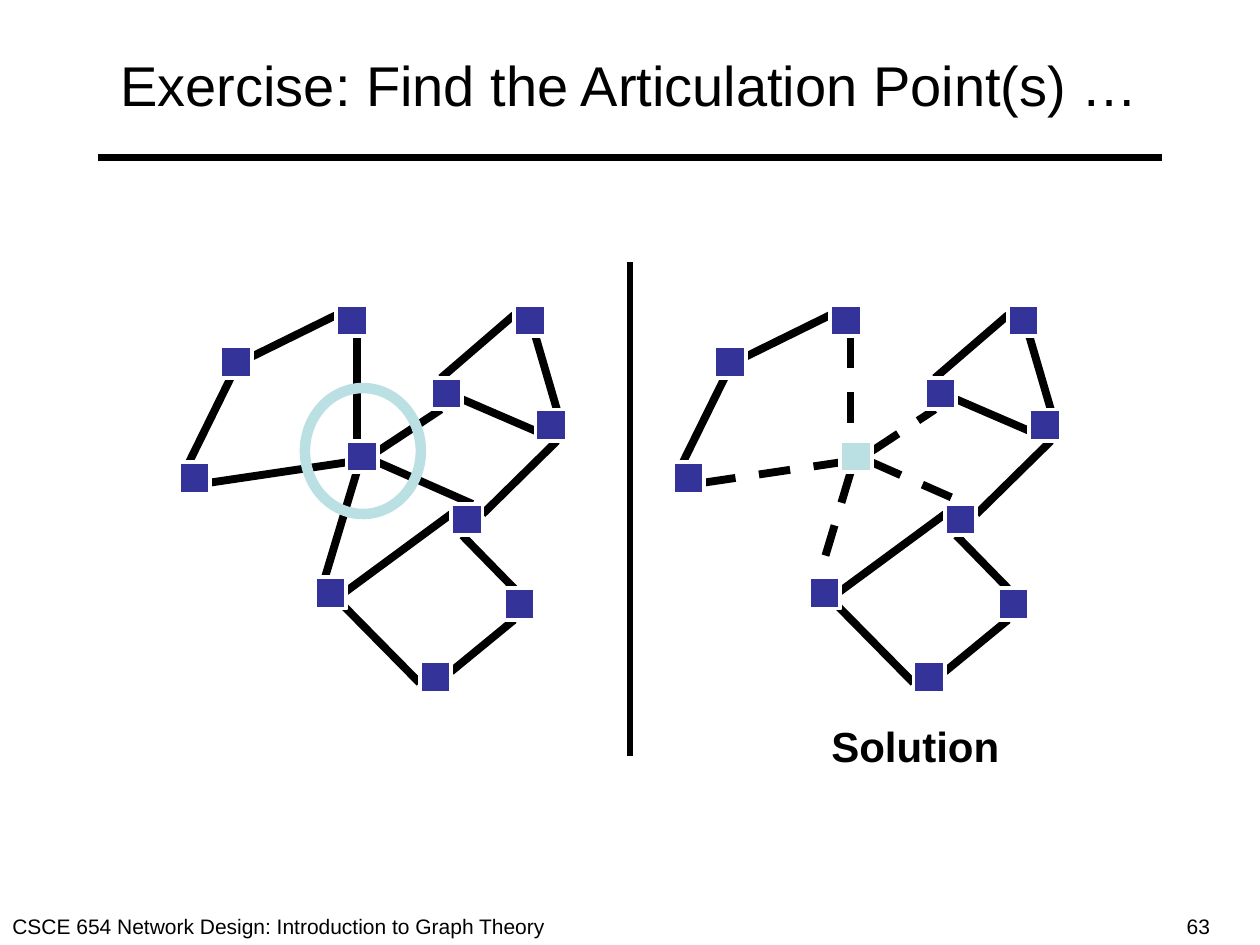
"""Build a slide that asks for the articulation point of a graph and shows the solution."""
from pptx import Presentation
from pptx import util as u
from pptx.dml.color import RGBColor
from pptx.enum import dml, shapes, text
from pptx.oxml.ns import qn
from lxml import etree

BLACK = RGBColor(0x00, 0x00, 0x00)
WHITE = RGBColor(0xFF, 0xFF, 0xFF)
NAVY = RGBColor(0x33, 0x33, 0x99)
AQUA = RGBColor(0xBB, 0xE0, 0xE3)
FONT = "Arial"
NODE_SIZE = 0.25
SOLUTION_SHIFT = 3.92

HUB = (2.75, 3.5)
NODES = [
    (3.42, 3), (4.25, 3.25), (4.08, 2.42), (2.5, 4.58), (1.42, 3.67),
    (1.75, 2.75), (2.67, 2.42), (3.58, 4), (4, 4.67), (3.33, 5.25),
]
HUB_EDGES = [
    (1.67, 3.83, 2.75, 3.67), (2.83, 2.67, 2.83, 3.5), (2.83, 3.75, 2.58, 4.58),
    (3, 3.58, 3.5, 3.25), (3, 3.67, 3.75, 4),
]
OUTER_EDGES = [
    (1.83, 3, 1.5, 3.67), (2, 2.83, 2.67, 2.5), (2.67, 4.75, 3.58, 4.08),
    (2.67, 4.75, 3.33, 5.42), (3.58, 5.33, 4.08, 4.92), (3.67, 4.25, 4.08, 4.67),
    (3.83, 4.08, 4.42, 3.5), (4.25, 3.42, 3.67, 3.17), (3.5, 3, 4.08, 2.5),
    (4.25, 2.67, 4.42, 3.25),
]


def add_line(page, ends, width=4.5, dashed=False):
    """Add a straight black line between two points."""
    line = page.shapes.add_connector(
        shapes.MSO_CONNECTOR.STRAIGHT, *(u.Inches(value) for value in ends))
    line.line.color.rgb = BLACK
    line.line.width = u.Pt(width)
    if dashed:
        line.line.dash_style = dml.MSO_LINE.DASH
    etree.SubElement(line._element.spPr, qn("a:effectLst"))


def add_node(page, left, top, color):
    """Add a square graph node with a white rim."""
    node = page.shapes.add_shape(
        shapes.MSO_SHAPE.RECTANGLE, u.Inches(left), u.Inches(top),
        u.Inches(NODE_SIZE), u.Inches(NODE_SIZE))
    node.shadow.inherit = False
    node.fill.solid()
    node.fill.fore_color.rgb = color
    node.line.color.rgb = WHITE
    node.line.width = u.Pt(2.25)


def add_ring(page, left, top, width, height):
    """Add an open ellipse that marks the answer."""
    ring = page.shapes.add_shape(
        shapes.MSO_SHAPE.OVAL, u.Inches(left), u.Inches(top),
        u.Inches(width), u.Inches(height))
    ring.shadow.inherit = False
    ring.fill.background()
    ring.line.color.rgb = AQUA
    ring.line.width = u.Pt(6)


def add_label(page, words, place, size, bold=False):
    """Add a one-line text box and return it."""
    box = page.shapes.add_textbox(*(u.Inches(value) for value in place))
    frame = box.text_frame
    frame.text = words
    frame.word_wrap = False
    font = frame.paragraphs[0].runs[0].font
    font.name = FONT
    font.size = u.Pt(size)
    font.bold = bold
    font.color.rgb = BLACK
    return box


def add_title(page, words):
    """Add the centred title and the rule under it."""
    frame = add_label(page, words, (0.5, 0.17, 9, 1), 32).text_frame
    frame.word_wrap = True
    frame.vertical_anchor = text.MSO_ANCHOR.MIDDLE
    frame.paragraphs[0].alignment = text.PP_ALIGN.CENTER
    add_line(page, (0.78, 1.25, 9.22, 1.25))


def add_graph(page, shift, hub_color, cut):
    """Add the graph moved right by shift, with the hub edges dashed if cut."""
    for edges, dashed in ((HUB_EDGES, cut), (OUTER_EDGES, False)):
        for x1, y1, x2, y2 in edges:
            add_line(page, (x1 + shift, y1, x2 + shift, y2), dashed=dashed)
    for left, top in NODES:
        add_node(page, left + shift, top, NAVY)
    add_node(page, HUB[0] + shift, HUB[1], hub_color)


def main():
    """Build and save the slide."""
    deck = Presentation()
    deck.slide_width, deck.slide_height = u.Inches(10), u.Inches(7.5)
    page = deck.slides.add_slide(deck.slide_layouts[6])
    add_title(page, "Exercise: Find the Articulation Point(s) …")
    add_label(page, "CSCE 654 Network Design: Introduction to Graph Theory",
              (0, 7.2, 4.43, 0.3), 12)
    add_label(page, "63", (9.32, 7.2, 0.96, 0.3), 12)
    add_graph(page, 0, NAVY, cut=False)
    add_ring(page, 2.42, 3.08, 0.92, 1)
    add_line(page, (5, 2.08, 5, 6), width=3)
    add_graph(page, SOLUTION_SHIFT, AQUA, cut=True)
    add_label(page, "Solution", (6.5, 5.67, 1.53, 0.5), 24, bold=True)
    deck.save("out.pptx")


if __name__ == "__main__":
    main()
